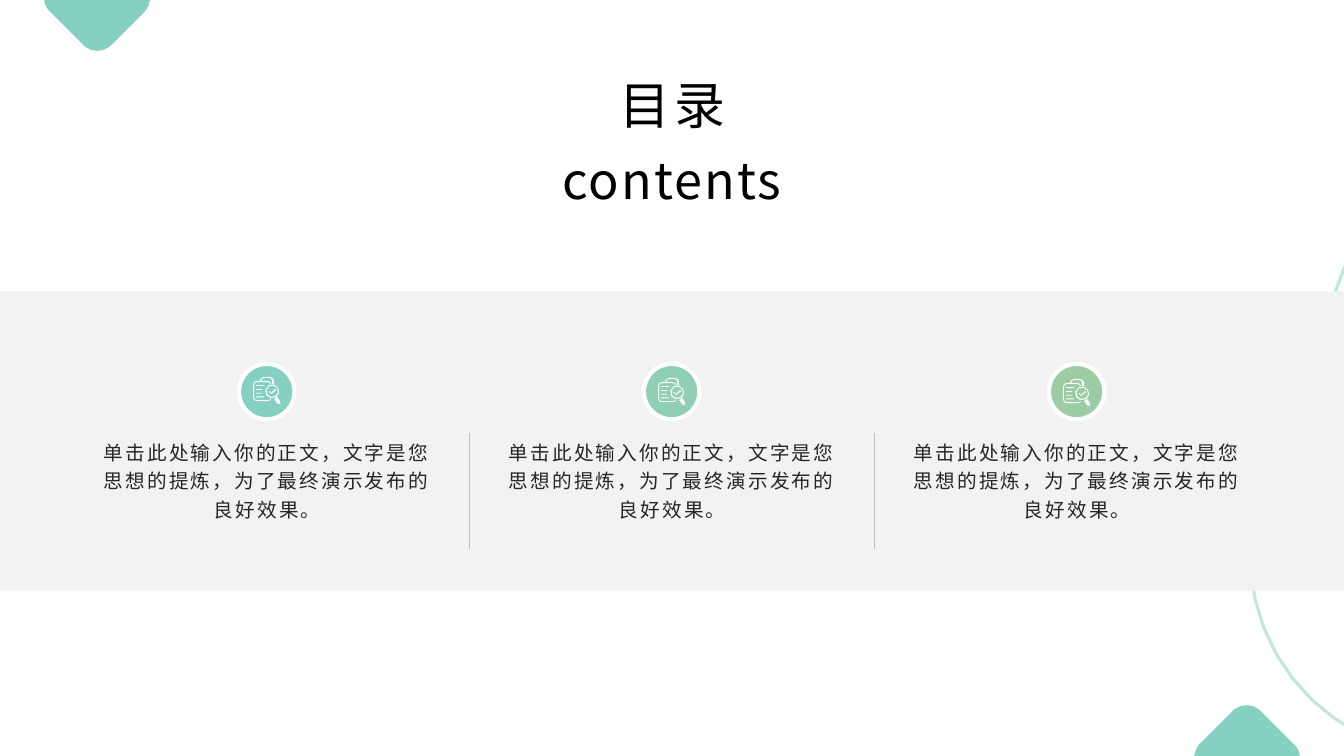
from dataclasses import dataclass

from pptx import Presentation
from pptx.dml.color import RGBColor
from pptx.enum import shapes, text
from pptx.oxml import ns
from pptx.util import Inches, Pt
from lxml import etree

COLORS = {"mint": "86D0C2", "sage": "90CFB3", "leaf": "9BCCA3", "band": "F2F2F2",
          "rule": "BFBFBF", "white": "FFFFFF", "body": "262626", "black": "000000"}
FONT = "Noto Sans CJK SC"
BODY = "单击此处输入你的正文，文字是您思想的提炼，为了最终演示发布的良好效果。"
WIDTH, HEIGHT = 13.33, 7.5
PITCH = 12.05 / 3

# Outlines in hundredths of an inch
CORNER = ("M 44 0 L 149 0 148 2 C 148 5 146 8 144 11 L 109 46 "
          "C 102 52 91 52 84 46 L 49 11 C 46 8 45 5 44 2")
ARC = "M 1362 190 L 1363 734 1349 728 C 1259 683 1216 575 1253 478"
ICON = (
    "M 17 22 L 18 22 C 18 23 16 24 14 24 L 4 24 C 2 24 0 23 0 20 L 0 8 C 0 5 2 4 4 4 "
    "L 7 4 C 7 2 9 0 11 0 L 17 0 C 19 0 21 2 21 4 L 21 7 19 7 19 4 C 19 3 18 1 17 1 "
    "L 11 1 C 10 1 8 2 8 4 L 14 4 C 16 4 18 5 18 7 L 17 7 C 17 6 16 5 14 5 L 4 5 "
    "C 2 5 1 6 1 8 L 1 20 C 1 22 2 23 4 23 L 14 23 C 16 23 17 23 17 22 "
    "M 23 20 C 19 22 15 21 13 18 C 11 15 12 10 16 8 C 19 6 23 8 25 11 C 27 14 26 18 23 20 "
    "M 22 19 C 25 18 26 14 24 11 C 23 9 19 8 16 9 C 13 11 13 14 14 17 C 16 20 19 21 22 19 "
    "M 24 20 L 21 22 24 26 27 24 "
    "M 27 25 L 24 26 C 25 27 26 27 26 27 C 27 26 28 25 27 25 "
    "M 18 16 L 16 14 15 14 18 17 23 13 22 12 "
    + " ".join(f"M 3 {y} L {x} {y} {x} {y + 0.8} 3 {y + 0.8}"
               for x, y in ((11, 8), (9, 12), (9, 15.8), (11, 19.4))))


@dataclass
class Topic:
    color: str
    icon_top: float


TOPICS = [Topic("mint", 3.74), Topic("sage", 3.75), Topic("leaf", 3.76)]


def rgb(name: str) -> RGBColor:
    return RGBColor.from_string(COLORS[name])


def contours(outline: str, steps: int) -> list:
    """Turn M, L and C commands into lists of points, sampling each curve."""
    result, command, numbers = [], "", []
    for token in outline.split():
        if token in "MLC":
            command = token
            continue
        numbers.append(float(token) / 100)
        if len(numbers) < (6 if command == "C" else 2):
            continue
        if command == "M":
            result.append([])
        if command == "C":
            points = [result[-1][-1], *zip(numbers[::2], numbers[1::2])]
            for i in range(1, steps + 1):
                t = i / steps
                weights = ((1 - t) ** 3, 3 * t * (1 - t) ** 2, 3 * t * t * (1 - t), t ** 3)
                result[-1].append(tuple(sum(w * p[k] for w, p in zip(weights, points))
                                        for k in (0, 1)))
        else:
            result[-1].append(tuple(numbers))
        numbers = []
    return result


def add_outline(s, paths: list, left: float = 0, top: float = 0):
    builder = None
    for path in paths:
        (x, y), *rest = [(Inches(left + px), Inches(top + py)) for px, py in path]
        if builder is None:
            builder = s.shapes.build_freeform(x, y)
        else:
            builder.move_to(x, y)
        builder.add_line_segments(rest)
    sp = builder.convert_to_shape()
    sp.shadow.inherit = False
    return sp


def paint(sp, color: str) -> None:
    sp.fill.solid()
    sp.fill.fore_color.rgb = rgb(color)
    sp.line.fill.background()


def add_preset(s, kind, box: tuple, color: str):
    sp = s.shapes.add_shape(kind, *map(Inches, box))
    sp.shadow.inherit = False
    paint(sp, color)
    return sp


def add_divider(s, x: float) -> None:
    line = s.shapes.add_connector(shapes.MSO_CONNECTOR.STRAIGHT, Inches(x), Inches(4.3),
                                  Inches(x), Inches(5.45))
    line.line.color.rgb = rgb("rule")
    line.line.width = Pt(0.25)
    etree.SubElement(line._element.spPr, ns.qn("a:effectLst"))


def write(sp, box: tuple, words: str, size: float, color: str, spacing: float,
          bottom: bool = False) -> None:
    sp.left, sp.top, sp.width, sp.height = map(Inches, box)
    tf = sp.text_frame
    tf.text = words
    tf.word_wrap = True
    tf.auto_size = text.MSO_AUTO_SIZE.NONE
    tf.vertical_anchor = text.MSO_ANCHOR.BOTTOM if bottom else text.MSO_ANCHOR.TOP
    tf.margin_left = tf.margin_right = Inches(0.1)
    tf.margin_top = Inches(0.05 if bottom else 0)
    tf.margin_bottom = Inches(0 if bottom else 0.05)
    p = tf.paragraphs[0]
    p.alignment = text.PP_ALIGN.CENTER
    p.line_spacing = 1.2
    r = p.runs[0]
    r.font.size = Pt(size)
    r.font.name = FONT
    r.font.color.rgb = rgb(color)
    properties = r.font._element
    properties.set("spc", str(int(spacing * 100)))
    etree.SubElement(properties, ns.qn("a:ea"), typeface=FONT)


def add_textbox(s, box: tuple, *style) -> None:
    write(s.shapes.add_textbox(*map(Inches, box)), box, *style)


def add_topic(s, topic: Topic, shift: float) -> None:
    disc = add_preset(s, shapes.MSO_SHAPE.OVAL, (2.37 + shift, 3.61, 0.55, 0.55), topic.color)
    disc.line.color.rgb = rgb("white")
    disc.line.width = Pt(3)
    paint(add_outline(s, contours(ICON, 2), 2.51 + shift, topic.icon_top), "white")
    add_textbox(s, (0.83 + shift, 4.33, 3.64, 0.97), BODY, 14, "body", 1.5)


def add_decoration(s) -> None:
    corner = contours(CORNER, 4)
    turned = [[(WIDTH - x, HEIGHT - y) for x, y in path] for path in corner]
    paint(add_outline(s, corner), "mint")
    arc = add_outline(s, contours(ARC, 10))
    arc.fill.background()
    arc.line.color.rgb = rgb("mint")
    arc.line.width = Pt(2.25)
    color = arc.line._ln.find(".//" + ns.qn("a:srgbClr"))
    etree.SubElement(color, ns.qn("a:alpha"), val="50000")
    paint(add_outline(s, turned), "mint")


def main() -> None:
    prs = Presentation()
    prs.slide_width, prs.slide_height = Inches(WIDTH), Inches(HEIGHT)
    s = prs.slides.add_slide(prs.slide_layouts[5])
    add_decoration(s)
    add_preset(s, shapes.MSO_SHAPE.RECTANGLE, (0, 2.89, WIDTH, 2.97), "band")
    for i in range(len(TOPICS) - 1):
        add_divider(s, 4.65 + i * PITCH)
    for i, topic in enumerate(TOPICS):
        add_topic(s, topic, i * PITCH)
    write(s.shapes.title, (5.72, 0.57, 1.89, 0.77), "目录", 36.3, "black", 3, True)
    add_textbox(s, (5.36, 1.36, 2.61, 0.77), "contents", 36, "black", 1.5)
    prs.save("out.pptx")


if __name__ == "__main__":
    main()
